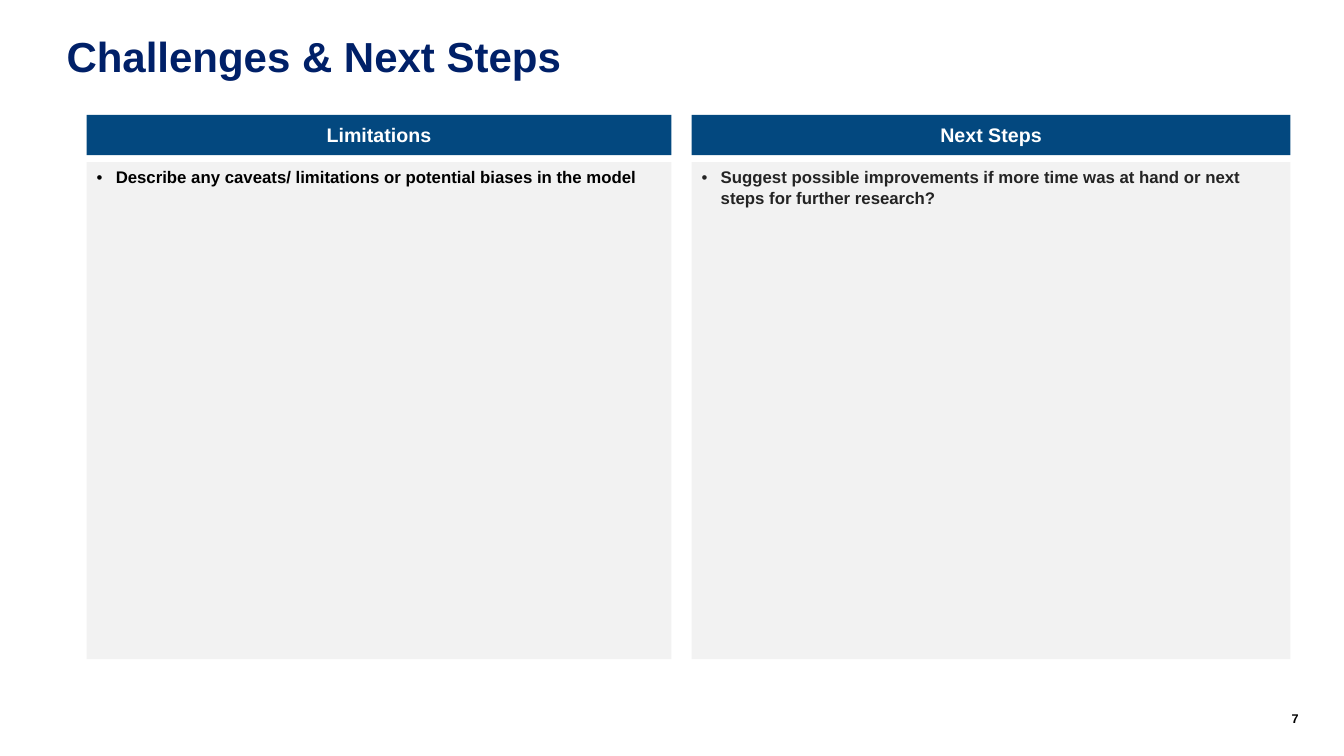
from lxml import etree
from pptx import Presentation
from pptx import util as u
from pptx.dml.color import RGBColor
from pptx.enum import shapes, text
from pptx.oxml.ns import qn

PX = 9144  # EMU per px, 100 px to the inch
THEME = {
    "font": "Arial",
    "title": "002068", "header": "03487F", "panel": "F2F2F2",
    "white": "FFFFFF", "black": "000000", "charcoal": "242424",
    "title_size": 30, "header_size": 14, "body_size": 12, "number_size": 9,
}


def write(box, words, size, color, align, anchor=text.MSO_ANCHOR.TOP):
    frame = box.text_frame
    frame.word_wrap = True
    frame.vertical_anchor = anchor
    frame.text = words
    para = frame.paragraphs[0]
    para.alignment = align
    font = para.runs[0].font
    font.name, font.size, font.bold = THEME["font"], u.Pt(THEME[size]), True
    font.color.rgb = RGBColor.from_string(THEME[color])
    return para


def add_box(left, top, width, height, fill=None):
    area = [n * PX for n in (left, top, width, height)]
    if fill:
        box = page.shapes.add_shape(shapes.MSO_SHAPE.RECTANGLE, *area)
        box.shadow.inherit = False
        box.fill.solid()
        box.fill.fore_color.rgb = RGBColor.from_string(THEME[fill])
        box.line.fill.background()
    else:
        box = page.shapes.add_textbox(*area)
        frame = box.text_frame
        frame.margin_left = frame.margin_top = frame.margin_right = frame.margin_bottom = 0
    return box


deck = Presentation()
deck.slide_width, deck.slide_height = 1333 * PX, 750 * PX
page = deck.slides.add_slide(deck.slide_layouts[6])

# Title and page number
title = write(add_box(66, 34, 962, 51), "Challenges & Next Steps",
              "title_size", "title", text.PP_ALIGN.LEFT)
title.line_spacing = 0.95
write(add_box(1237, 705, 51, 20), "7", "number_size", "black", text.PP_ALIGN.RIGHT)

# Two columns: header bar above a bulleted panel
columns = [
    (86, 580, "Limitations", "black",
     "Describe any caveats/ limitations or potential biases in the model"),
    (686, 594, "Next Steps", "charcoal",
     "Suggest possible improvements if more time was at hand or next steps for further research?"),
]
for left, width, heading, color, point in columns:
    write(add_box(left, 114, width, 40, "header"), heading, "header_size", "white",
          text.PP_ALIGN.CENTER, text.MSO_ANCHOR.MIDDLE)
    para = write(add_box(left, 161, width, 493, "panel"), point, "body_size", color,
                 text.PP_ALIGN.LEFT)
    props = para._p.get_or_add_pPr()
    props.set("marL", str(19 * PX))
    props.set("indent", str(-19 * PX))
    etree.SubElement(props, qn("a:buFont"), typeface=THEME["font"])
    etree.SubElement(props, qn("a:buChar"), char="•")

deck.save("out.pptx")
